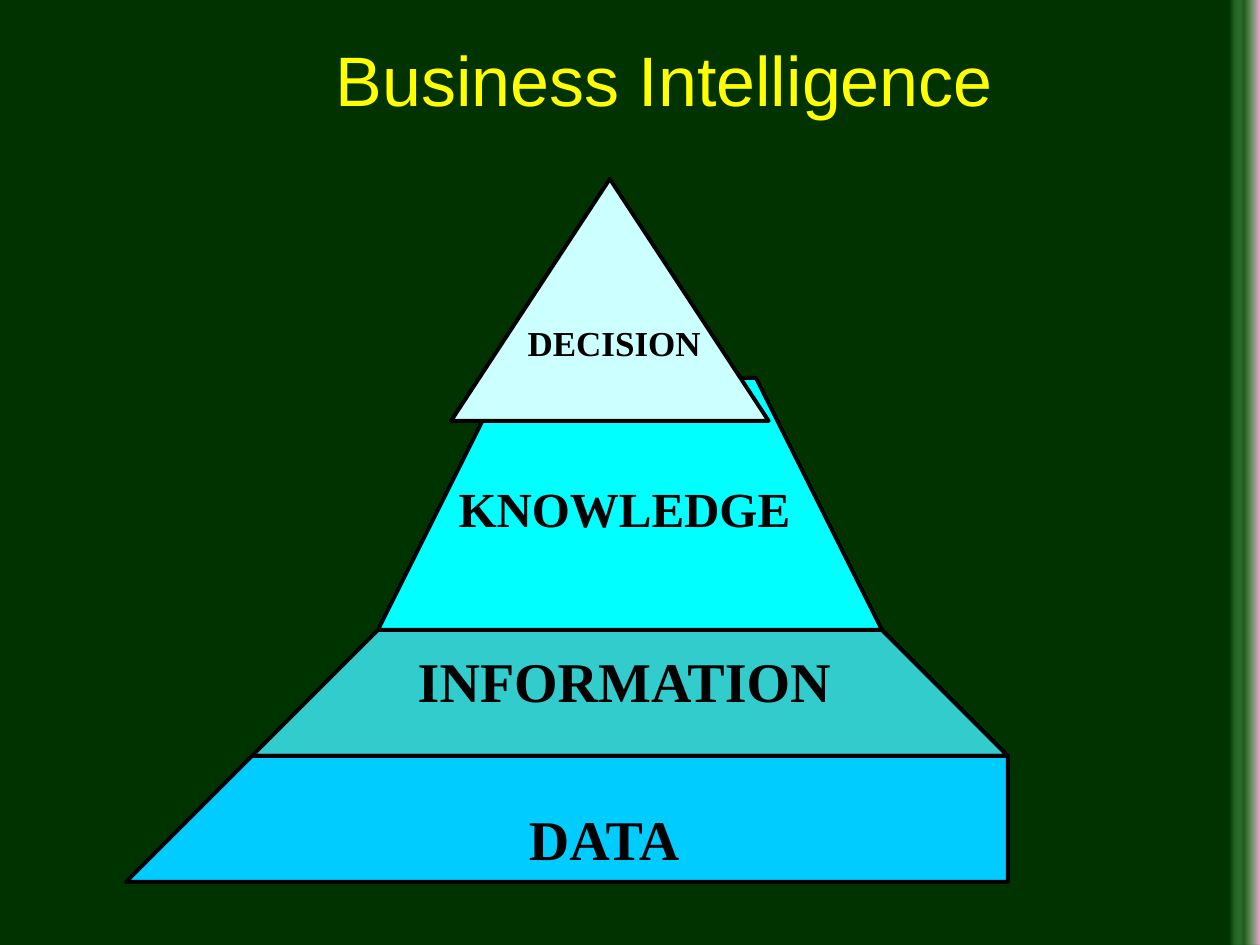
from dataclasses import dataclass

from lxml import etree
from pptx import Presentation
from pptx.dml.color import RGBColor
from pptx.enum.shapes import MSO_SHAPE as Preset
from pptx.enum.text import MSO_ANCHOR as Anchor, PP_ALIGN as Align
from pptx.util import Inches, Pt

DARK_GREEN = RGBColor(0x00, 0x33, 0x00)
YELLOW = RGBColor(0xFF, 0xFF, 0x00)
BLACK = RGBColor(0x00, 0x00, 0x00)
ICE = RGBColor(0xCC, 0xFF, 0xFF)
CYAN = RGBColor(0x00, 0xFF, 0xFF)
TEAL = RGBColor(0x33, 0xCC, 0xCC)
SKY = RGBColor(0x00, 0xCC, 0xFF)

WIDTH, HEIGHT = 10, 7.5
EDGE_WIDTH = 0.26
LABEL_WIDTH = 4.25
EDGE_STOPS = ((0, "FFA3DF", 100), (50, "99FF99", 20), (94, "003300", 83))
DRAWING = "http://schemas.openxmlformats.org/drawingml/2006/main"


@dataclass(frozen=True)
class Label:
    text: str
    left: float
    top: float
    width: float
    height: float
    size: int
    name: str = "Times New Roman"
    bold: bool = True
    color: RGBColor = BLACK


@dataclass(frozen=True)
class Band:
    corners: tuple[tuple[float, float], ...]
    color: RGBColor


BANDS = (
    Band(((2.08, 5.92), (2.87, 4.58), (6.8, 4.58), (7.6, 5.92)), TEAL),
    Band(((2.87, 4.58), (3.56, 3.33), (6.11, 3.33), (6.81, 4.58)), CYAN),
    Band(((1.38, 7.25), (2.1, 5.92), (7.59, 5.92), (8.31, 7.25)), SKY),
)
LABELS = (
    Label("DATA", 2.67, 6.33, LABEL_WIDTH, 0.64, 32),
    Label("KNOWLEDGE", 2.83, 3.75, LABEL_WIDTH, 0.57, 28),
    Label("INFORMATION", 2.83, 5.08, LABEL_WIDTH, 0.64, 32),
    Label("DECISION", 2.75, 2.5, LABEL_WIDTH, 0.44, 20),
    Label("Business Intelligence", 1.69, 0, 7.16, 1.25, 40, "Arial", False, YELLOW),
)


def draw_edge(slide) -> None:
    shape = slide.shapes.add_shape(
        Preset.RECTANGLE, Inches(WIDTH - EDGE_WIDTH), 0, Inches(EDGE_WIDTH), Inches(HEIGHT)
    )
    shape.shadow.inherit = False
    shape.line.fill.background()
    stops = "".join(
        f'<a:gs pos="{position * 1000}"><a:srgbClr val="{color}">'
        f'<a:alpha val="{alpha * 1000}"/></a:srgbClr></a:gs>'
        for position, color, alpha in EDGE_STOPS
    )
    gradient = etree.fromstring(
        f'<a:gradFill xmlns:a="{DRAWING}" rotWithShape="1"><a:gsLst>{stops}</a:gsLst>'
        '<a:lin ang="10800000" scaled="1"/></a:gradFill>'
    )
    shape.element.spPr.find(f"{{{DRAWING}}}prstGeom").addnext(gradient)


def paint(shape, color: RGBColor) -> None:
    shape.shadow.inherit = False
    shape.fill.solid()
    shape.fill.fore_color.rgb = color
    shape.line.color.rgb = BLACK
    shape.line.width = Pt(2.25)


def draw_band(slide, band: Band) -> None:
    start, *others = band.corners
    builder = slide.shapes.build_freeform(*start, scale=Inches(1))
    builder.add_line_segments(others, close=True)
    paint(builder.convert_to_shape(), band.color)


def draw_label(slide, label: Label) -> None:
    box = slide.shapes.add_textbox(
        *map(Inches, (label.left, label.top, label.width, label.height))
    )
    frame = box.text_frame
    frame.word_wrap = True
    frame.vertical_anchor = Anchor.MIDDLE
    paragraph = frame.paragraphs[0]
    paragraph.alignment = Align.CENTER
    run = paragraph.add_run()
    run.text = label.text
    formats = {"name": label.name, "size": Pt(label.size), "bold": label.bold}
    for attribute, value in formats.items():
        setattr(run.font, attribute, value)
    run.font.color.rgb = label.color


def main() -> None:
    presentation = Presentation()
    presentation.slide_width, presentation.slide_height = Inches(WIDTH), Inches(HEIGHT)
    slide = presentation.slides.add_slide(presentation.slide_layouts[6])
    slide.background.fill.solid()
    slide.background.fill.fore_color.rgb = DARK_GREEN
    draw_edge(slide)
    for band in BANDS:
        draw_band(slide, band)
    peak = slide.shapes.add_shape(
        Preset.ISOSCELES_TRIANGLE, *map(Inches, (3.58, 1.42, 2.52, 1.92))
    )
    paint(peak, ICE)
    for label in LABELS:
        draw_label(slide, label)
    presentation.save("out.pptx")


main()
